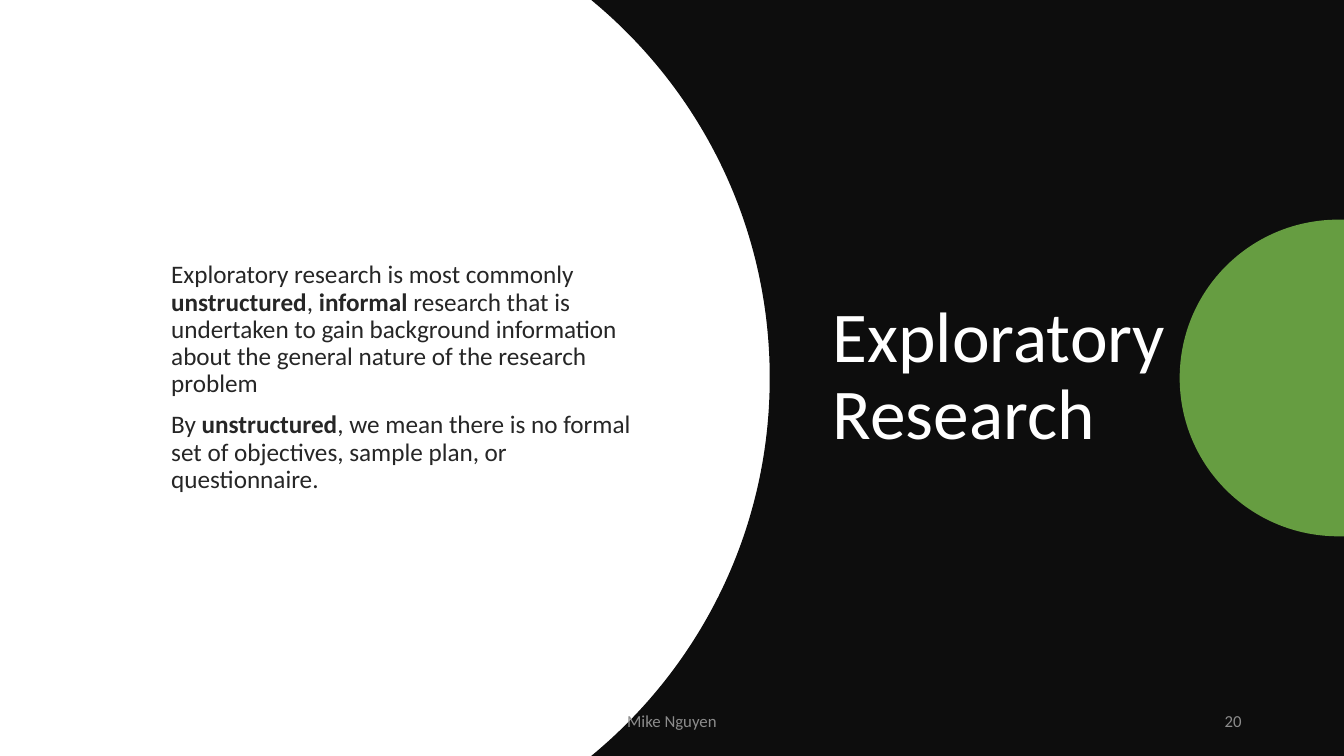
from dataclasses import dataclass
from typing import Optional

from lxml.etree import SubElement
from pptx import Presentation
from pptx.dml.color import RGBColor
from pptx.enum.text import MSO_ANCHOR as Anchor, MSO_AUTO_SIZE as AutoSize, PP_ALIGN as Align
from pptx.oxml.ns import qn
from pptx.util import Cm, Pt

WIDTH, HEIGHT = 33.87, 19.05
MIDDLE = HEIGHT / 2
FONT = "Calibri"


@dataclass
class Panel:
    half_curve: list[tuple[float, float]]
    color: str
    opacity: int = 100


@dataclass
class Run:
    text: str
    bold: Optional[bool] = None


@dataclass
class Label:
    box: tuple[float, float, float, float]
    paragraphs: list[list[Run]]
    size: float
    color: str
    align: Align = Align.LEFT
    line_spacing: Optional[float] = None
    placeholder: Optional[int] = None


PANELS = [
    Panel([(14.9, MIDDLE), (17.65, 7.26), (19.4, 3.84), (19.4, 0)], "0D0D0D"),
    Panel([(33.73, 3.99), (31.52, 3.99), (29.73, 2.21), (29.73, 0)], "70AD47", 90),
]

LABELS = [
    Label((20.73, 3.03, 9.35, 12.98), [[Run("Exploratory Research")]],
          51, "FFFFFF", line_spacing=0.9, placeholder=0),
    Label((4.06, 4.18, 12.12, 10.69), [
        [Run("Exploratory research is most commonly "), Run("unstructured", True), Run(", "),
         Run("informal", True),
         Run(" research that is undertaken to gain background information about the general "
             "nature of the research problem")],
        [Run("By "), Run("unstructured", True),
         Run(", we mean there is no formal set of objectives, sample plan, or questionnaire.")],
    ], 18, "262626", line_spacing=0.9, placeholder=1),
    Label((11.22, 17.65, 11.43, 1.02), [[Run("Mike Nguyen")]], 12, "8C8C8C", Align.CENTER),
    Label((23.92, 17.65, 7.62, 1.02), [[Run("20")]], 12, "8C8C8C", Align.RIGHT),
]


def rgb(color: str) -> RGBColor:
    return RGBColor.from_string(color)


def bend(sp, curves: int) -> None:
    lines = list(sp._element.iter(qn("a:lnTo")))
    for i in range(0, 3 * curves, 3):
        curve = SubElement(lines[i].getparent(), qn("a:cubicBezTo"))
        lines[i].addprevious(curve)
        for line in lines[i:i + 3]:
            curve.append(line[0])
            line.getparent().remove(line)


def draw_panel(slide, panel: Panel) -> None:
    lower = [(x, MIDDLE + dy) for x, dy in panel.half_curve]
    upper = [(x, MIDDLE - dy) for x, dy in reversed(panel.half_curve[:-1])]
    corners = [(WIDTH, upper[-1][1]), (WIDTH, lower[0][1])]
    points = [(Cm(x), Cm(y)) for x, y in lower + upper + corners]
    builder = slide.shapes.build_freeform(*points[0])
    builder.add_line_segments(points[1:], close=True)
    sp = builder.convert_to_shape()
    bend(sp, 2)
    sp.shadow.inherit = False
    sp.fill.solid()
    sp.fill.fore_color.rgb = rgb(panel.color)
    sp.line.fill.background()
    if panel.opacity < 100:
        color = sp._element.spPr.find(qn("a:solidFill"))[0]
        SubElement(color, qn("a:alpha"), val=str(panel.opacity * 1000))


def draw_label(slide, label: Label) -> None:
    box = [Cm(v) for v in label.box]
    if label.placeholder is None:
        sp = slide.shapes.add_textbox(*box)
    else:
        sp = slide.placeholders[label.placeholder]
        sp.left, sp.top, sp.width, sp.height = box
        slide.shapes._spTree.append(sp._element)
    tf = sp.text_frame
    tf.word_wrap = True
    tf.auto_size = AutoSize.NONE
    tf.vertical_anchor = Anchor.MIDDLE
    for i, runs in enumerate(label.paragraphs):
        p = tf.add_paragraph() if i else tf.paragraphs[0]
        if label.placeholder == 1:
            pPr = p._p.get_or_add_pPr()
            pPr.set("marL", "0")
            pPr.set("indent", "0")
            SubElement(pPr, qn("a:buNone"))
        p.alignment = label.align
        p.line_spacing = label.line_spacing
        p.space_before = Pt(10 if i else 0)
        for run in runs:
            r = p.add_run()
            r.text = run.text
            r.font.name = FONT
            r.font.size = Pt(label.size)
            r.font.bold = run.bold
            r.font.color.rgb = rgb(label.color)


def main() -> None:
    prs = Presentation()
    prs.slide_width, prs.slide_height = Cm(WIDTH), Cm(HEIGHT)
    slide = prs.slides.add_slide(prs.slide_layouts[1])
    for panel in PANELS:
        draw_panel(slide, panel)
    for label in LABELS:
        draw_label(slide, label)
    prs.save("out.pptx")


if __name__ == "__main__":
    main()
